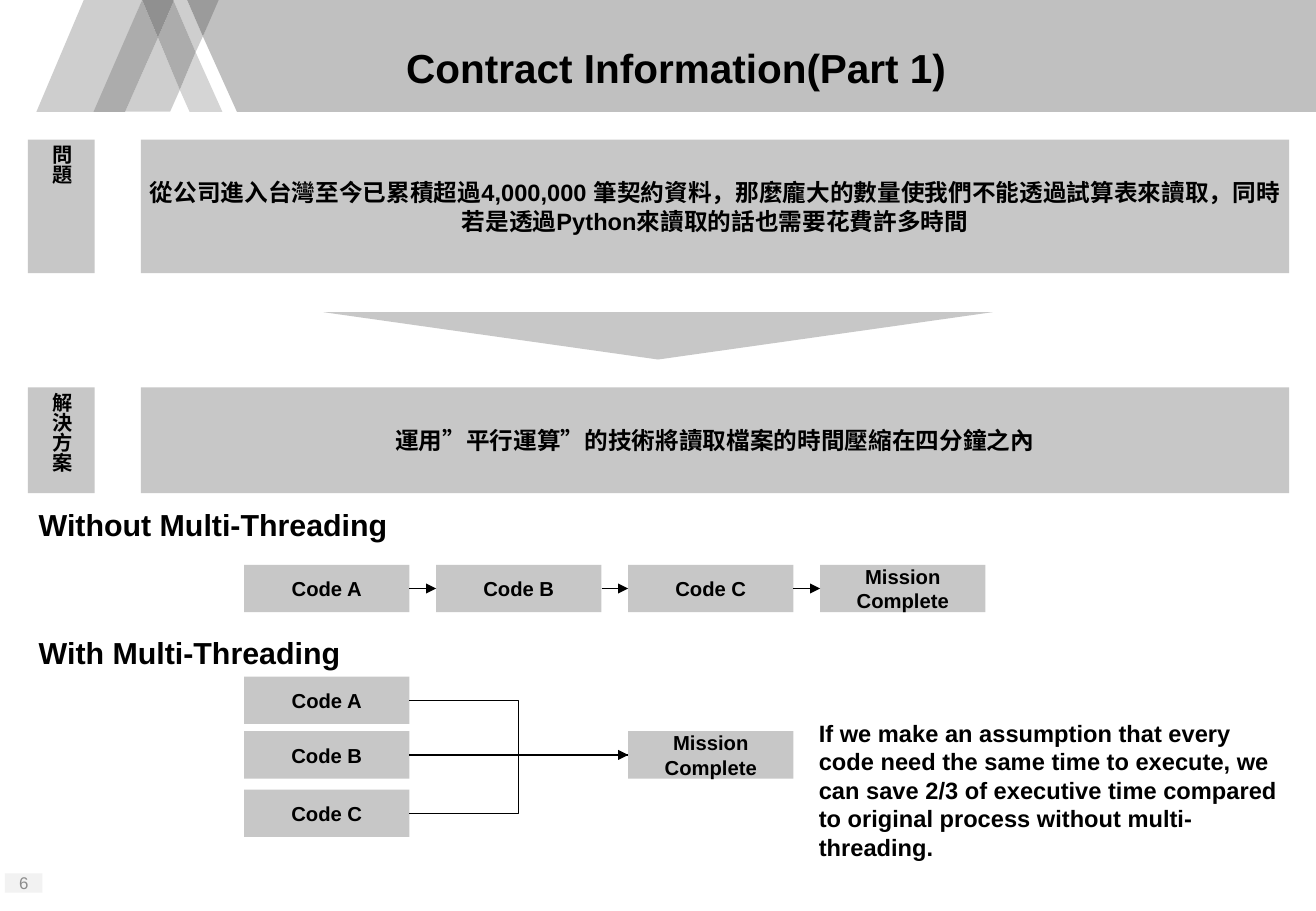
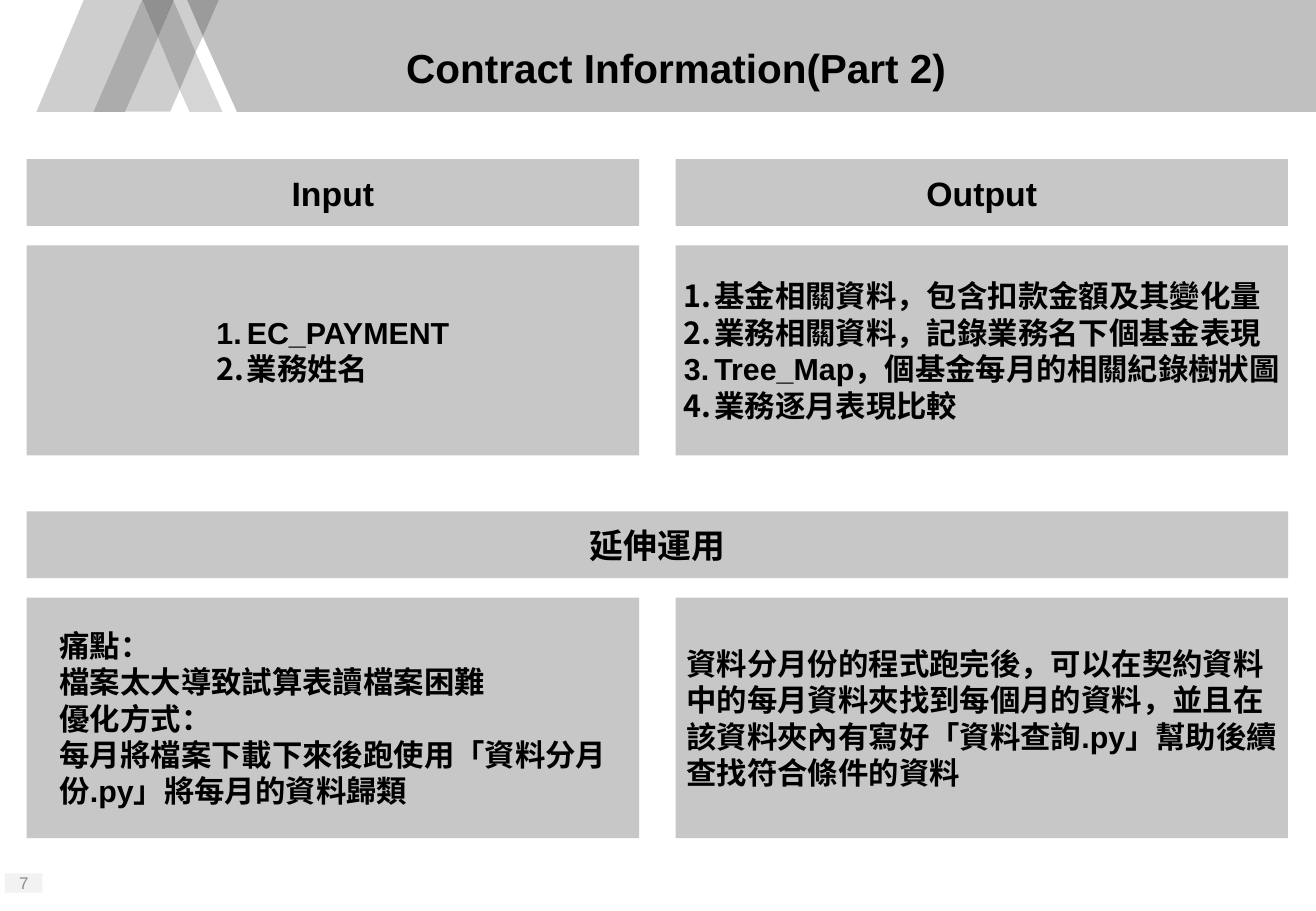
from dataclasses import dataclass

from lxml import etree
from pptx import Presentation
from pptx.dml.color import RGBColor
from pptx.enum.shapes import MSO_CONNECTOR, MSO_SHAPE
from pptx.enum.text import MSO_ANCHOR, PP_ALIGN
from pptx.oxml.ns import qn
from pptx.util import Inches, Pt

RECT, TRIANGLE = MSO_SHAPE.RECTANGLE, MSO_SHAPE.ISOSCELES_TRIANGLE
STRAIGHT, ELBOW = MSO_CONNECTOR.STRAIGHT, MSO_CONNECTOR.ELBOW
TOP, MIDDLE = MSO_ANCHOR.TOP, MSO_ANCHOR.MIDDLE
LEFT, CENTER = PP_ALIGN.LEFT, PP_ALIGN.CENTER
LEFT_SITE, RIGHT_SITE = 1, 3

FONT, BLACK, PANEL = "Arial", "000000", "C7C7C7"
BADGE_FILL, BADGE_TEXT = "F2F2F2", "8C8C8C"
BAND_H = 0.92
BAND = (
    ("C0C0C0", ((1.67, 0.3), (1.95, BAND_H), (10.83, BAND_H), (10.83, 0), (1.79, 0))),
    ("D5D5D5", ((1.61, 0.43), (1.48, 0.74), (1.56, BAND_H), (1.83, BAND_H))),
    ("CECECE", ((1.54, 0), (1.43, 0), (1.43, 0.01), (1.61, 0.43), (1.67, 0.3))),
    ("CECECE", ((1.3, 0.31), (1.03, BAND_H), (1.4, BAND_H), (1.48, 0.74))),
    ("CECECE", ((1.17, 0), (0.69, 0), (0.3, BAND_H), (0.78, BAND_H))),
    ("9B9B9B", ((1.8, 0), (1.54, 0), (1.67, 0.3))),
    ("ACACAC", ((1.43, 0.01), (1.3, 0.31), (1.48, 0.74), (1.61, 0.43))),
    ("ACACAC", ((1.17, 0), (0.77, BAND_H), (1.03, BAND_H), (1.3, 0.31))),
    ("909090", ((1.43, 0), (1.17, 0), (1.3, 0.31), (1.43, 0.01))),
)
STEP_W, STEP_H, STEP_X, STEP_PITCH = 1.36, 0.39, 2.01, 1.58


@dataclass
class Box:
    x: float
    y: float
    w: float
    h: float
    lines: tuple = ()
    size: int = 12
    align: PP_ALIGN = CENTER
    anchor: MSO_ANCHOR = MIDDLE
    color: str = BLACK
    bold: bool = True
    fill: str = PANEL
    inset: tuple = (0.04, 0.04)
    wrap: bool = True
    vertical: bool = False
    center_block: bool = False
    numbered: bool = False

    def frame(self):
        return [Inches(v) for v in (self.x, self.y, self.w, self.h)]


def rgb(color: str) -> RGBColor:
    return RGBColor.from_string(color)


def paint(shape, color: str) -> None:
    shape.shadow.inherit = False
    shape.fill.solid()
    shape.fill.fore_color.rgb = rgb(color)
    shape.line.fill.background()


def number(p) -> None:
    pPr = p._p.get_or_add_pPr()
    pPr.set("marL", str(Inches(0.25)))
    pPr.set("indent", str(-Inches(0.25)))
    bullet = etree.Element(qn("a:buAutoNum"), type="arabicPeriod")
    pPr.insert(0, bullet)


def write(shape, box: Box) -> None:
    tf = shape.text_frame
    tf.word_wrap = box.wrap
    tf.vertical_anchor = box.anchor
    tf.margin_left = tf.margin_right = Inches(box.inset[0])
    tf.margin_top = tf.margin_bottom = Inches(box.inset[1])
    bodyPr = tf._txBody.bodyPr
    if box.vertical:
        bodyPr.set("vert", "eaVert")
    if box.center_block:
        bodyPr.set("anchorCtr", "1")
    for i, line in enumerate(box.lines):
        p = tf.add_paragraph() if i else tf.paragraphs[0]
        p.text = line
        p.alignment = box.align
        p.font.name, p.font.size, p.font.bold = FONT, Pt(box.size), box.bold
        p.font.color.rgb = rgb(box.color)
        if box.numbered:
            number(p)


def add_panel(s, box: Box):
    sp = s.shapes.add_shape(RECT, *box.frame())
    paint(sp, box.fill)
    write(sp, box)
    return sp


def add_text(s, box: Box) -> None:
    write(s.shapes.add_textbox(*box.frame()), box)


def add_line(s, kind: MSO_CONNECTOR, start, end, arrow: bool = True):
    x1, y = start.left + start.width, start.top + start.height // 2
    c = s.shapes.add_connector(kind, x1, y, end.left, end.top + end.height // 2)
    c.begin_connect(start, RIGHT_SITE)
    c.end_connect(end, LEFT_SITE)
    c.line.color.rgb = rgb(BLACK)
    c.line.width = Pt(0.75)
    if arrow:
        etree.SubElement(c.line._get_or_add_ln(), qn("a:tailEnd"), type="triangle")
    etree.SubElement(c._element.spPr, qn("a:effectLst"))
    return c


def new_slide(prs, title: str, page: int):
    s = prs.slides.add_slide(prs.slide_layouts[6])
    for color, points in BAND:
        start, *rest = [(Inches(x), Inches(y)) for x, y in points]
        builder = s.shapes.build_freeform(*start)
        builder.add_line_segments(rest, close=True)
        paint(builder.convert_to_shape(), color)
    add_panel(s, Box(0.04, 7.19, 0.31, 0.16, (str(page),), 10, color=BADGE_TEXT,
                     bold=False, fill=BADGE_FILL, inset=(0.04, 0.05)))
    add_text(s, Box(2.1, 0.16, 6.93, 0.79, (title,), 24, inset=(0, 0)))
    return s


def add_step(s, label: str, x: float, y: float):
    return add_panel(s, Box(x, y, STEP_W, STEP_H, (label,)))


def build_part_1(prs) -> None:
    s = new_slide(prs, "Contract Information(Part 1)", 6)
    for y, h, label, text in (
        (1.15, 1.1, "問題", "從公司進入台灣至今已累積超過4,000,000 筆契約資料，那麼龐大的數量使我們"
         "不能透過試算表來讀取，同時若是透過Python來讀取的話也需要花費許多時間"),
        (3.19, 0.87, "解決方案", "運用”平行運算”的技術將讀取檔案的時間壓縮在四分鐘之內"),
    ):
        add_panel(s, Box(0.23, y, 0.55, h, (label,), vertical=True))
        add_panel(s, Box(1.16, y, 9.45, h, (text,), 14))
    pointer = s.shapes.add_shape(TRIANGLE, *Box(2.66, 2.57, 5.51, 0.39).frame())
    pointer.rotation = 180
    paint(pointer, PANEL)

    for y, w, heading in ((4.12, 3.1, "Without Multi-Threading"),
                          (5.17, 2.71, "With Multi-Threading")):
        add_text(s, Box(0.22, y, w, 0.4, (heading,), 18, LEFT, TOP,
                        inset=(0.1, 0.05), wrap=False))

    codes, goal = ("Code A", "Code B", "Code C"), "Mission Complete"
    chain = [add_step(s, label, STEP_X + i * STEP_PITCH, 4.65)
             for i, label in enumerate((*codes, goal))]
    for start, end in zip(chain, chain[1:]):
        add_line(s, STRAIGHT, start, end)

    first, second, third = [add_step(s, label, STEP_X, y)
                            for label, y in zip(codes, (5.57, 6.02, 6.5))]
    done = add_step(s, goal, STEP_X + 2 * STEP_PITCH, 6.02)
    add_line(s, ELBOW, first, done)
    add_line(s, ELBOW, third, done, arrow=False)
    add_line(s, STRAIGHT, second, done, arrow=False)
    add_text(s, Box(6.64, 5.87, 4.08, 1.04, (
        "If we make an assumption that every code need the same time to execute, "
        "we can save 2/3 of executive time compared to original process without "
        "multi-threading.",), 14, LEFT, TOP, inset=(0.1, 0.05)))


def build_part_2(prs) -> None:
    s = new_slide(prs, "Contract Information(Part 2)", 7)
    left, right, col_w, head_h = 0.22, 5.56, 5.04, 0.55
    for x, y, w, heading in ((left, 1.31, col_w, "Input"), (right, 1.31, col_w, "Output"),
                             (left, 4.21, right + col_w - left, "延伸運用")):
        add_panel(s, Box(x, y, w, head_h, (heading,), 20))
    for x, y, h, numbered, lines in (
        (left, 2.02, 1.73, True, ("EC_PAYMENT", "業務姓名")),
        (right, 2.02, 1.73, True, (
            "基金相關資料，包含扣款金額及其變化量",
            "業務相關資料，記錄業務名下個基金表現",
            "Tree_Map，個基金每月的相關紀錄樹狀圖",
            "業務逐月表現比較")),
        (left, 4.92, 1.98, False, (
            "痛點：",
            "檔案太大導致試算表讀檔案困難",
            "優化方式：",
            "每月將檔案下載下來後跑使用「資料分月份.py」將每月的資料歸類")),
        (right, 4.92, 1.98, False, (
            "資料分月份的程式跑完後，可以在契約資料中的每月資料夾找到每個月的資料，"
            "並且在該資料夾內有寫好「資料查詢.py」幫助後續查找符合條件的資料",)),
    ):
        add_panel(s, Box(x, y, col_w, h, lines, 18, LEFT, center_block=True,
                         numbered=numbered))


def main() -> None:
    prs = Presentation()
    prs.slide_width, prs.slide_height = Inches(10.83), Inches(7.5)
    build_part_1(prs)
    build_part_2(prs)
    prs.save("out.pptx")


if __name__ == "__main__":
    main()
